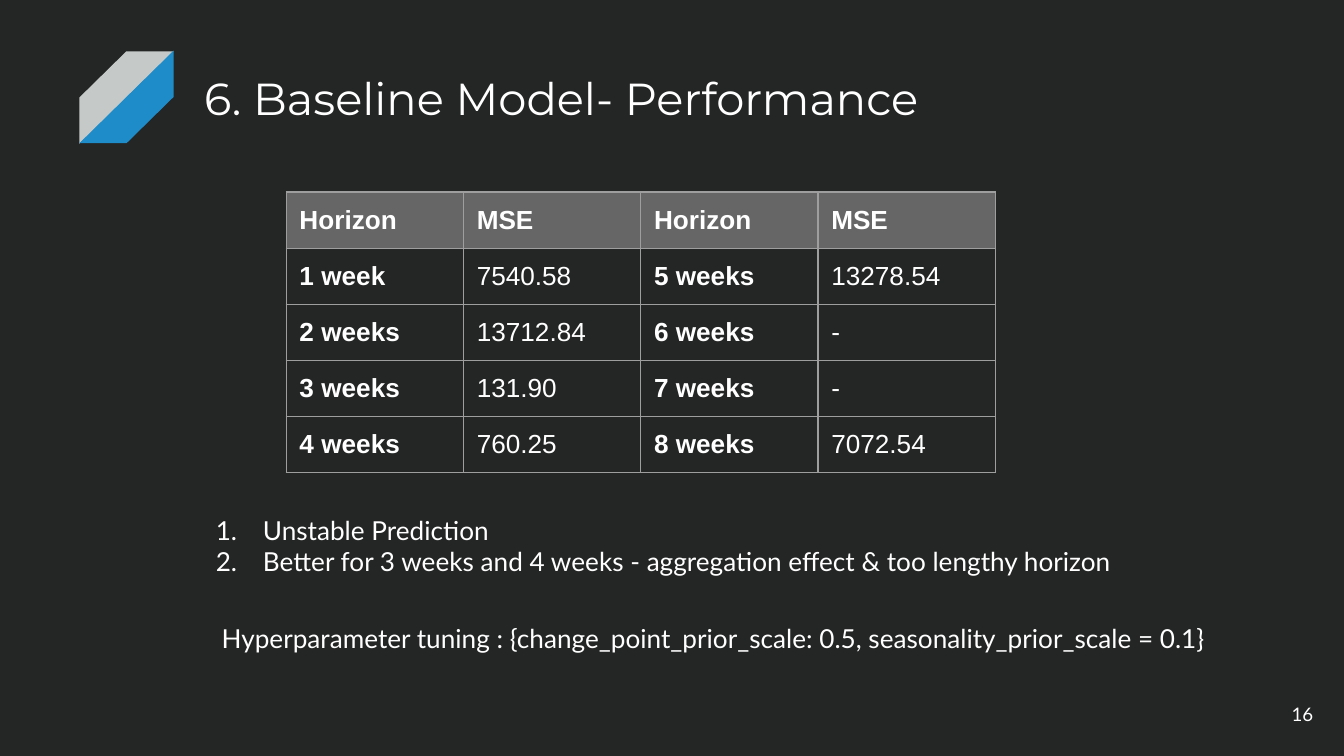
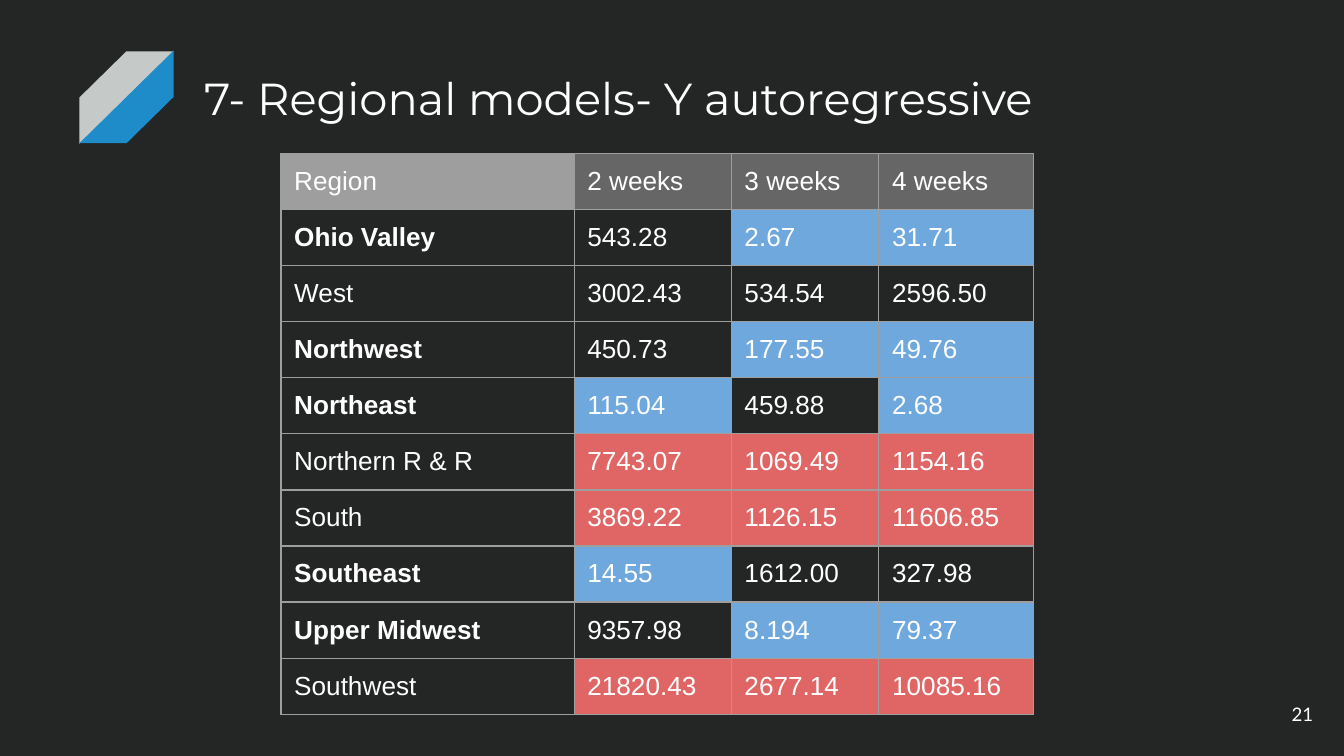
from lxml import etree
from pptx import Presentation
from pptx.dml.color import RGBColor
from pptx.enum.shapes import MSO_SHAPE
from pptx.enum.text import MSO_ANCHOR, MSO_AUTO_SIZE, PP_ALIGN
from pptx.oxml.ns import qn
from pptx.util import Cm, Pt

STRIPE = MSO_SHAPE.DIAGONAL_STRIPE
TOP, MIDDLE = MSO_ANCHOR.TOP, MSO_ANCHOR.MIDDLE
FIXED, GROW = MSO_AUTO_SIZE.NONE, MSO_AUTO_SIZE.SHAPE_TO_FIT_TEXT
LEFT, RIGHT = PP_ALIGN.LEFT, PP_ALIGN.RIGHT

BACKGROUND = RGBColor(0x24, 0x25, 0x25)
WHITE = RGBColor(0xFF, 0xFF, 0xFF)
STRIPE_GREY = RGBColor(0xC5, 0xCA, 0xC8)
STRIPE_BLUE = RGBColor(0x1F, 0x8C, 0xCA)
HEADER_GREY = RGBColor(0x66, 0x66, 0x66)
LIGHT_GREY = RGBColor(0x9E, 0x9E, 0x9E)
GOOD_BLUE = RGBColor(0x6F, 0xA8, 0xDC)
BAD_RED = RGBColor(0xE0, 0x66, 0x66)

TITLE_FONT, BODY_FONT, TABLE_FONT = "Montserrat", "Lato", "Arial"
INSET = Cm(0.25)
ROW_HEIGHT = Cm(1.06)
GOOD_LIMIT, BAD_LIMIT = 200, 1000

BASELINE_ROWS = [
    ["Horizon", "MSE", "Horizon", "MSE"],
    ["1 week", "7540.58", "5 weeks", "13278.54"],
    ["2 weeks", "13712.84", "6 weeks", "-"],
    ["3 weeks", "131.90", "7 weeks", "-"],
    ["4 weeks", "760.25", "8 weeks", "7072.54"],
]
REGION_ROWS = [
    ["Region", "2 weeks", "3 weeks", "4 weeks"],
    ["Ohio Valley", "543.28", "2.67", "31.71"],
    ["West", "3002.43", "534.54", "2596.50"],
    ["Northwest", "450.73", "177.55", "49.76"],
    ["Northeast", "115.04", "459.88", "2.68"],
    ["Northern R & R", "7743.07", "1069.49", "1154.16"],
    ["South", "3869.22", "1126.15", "11606.85"],
    ["Southeast", "14.55", "1612.00", "327.98"],
    ["Upper Midwest", "9357.98", "8.194", "79.37"],
    ["Southwest", "21820.43", "2677.14", "10085.16"],
]


def write_text(frame, lines, font=BODY_FONT, size=14, bold=False, color=WHITE,
               align=LEFT, numbered=False):
    for index, line in enumerate(lines):
        paragraph = frame.paragraphs[0] if index == 0 else frame.add_paragraph()
        paragraph.alignment = align
        if numbered:
            number_paragraph(paragraph, color)
        run = paragraph.add_run()
        run.text = line
        run.font.name = font
        run.font.size = Pt(size)
        run.font.bold = bold
        run.font.color.rgb = color


def number_paragraph(paragraph, color):
    properties = paragraph._p.get_or_add_pPr()
    properties.set("marL", str(Cm(1.27)))
    properties.set("indent", str(-Cm(0.89)))
    bullet_color = etree.SubElement(properties, qn("a:buClr"))
    etree.SubElement(bullet_color, qn("a:srgbClr"), val=str(color))
    etree.SubElement(properties, qn("a:buFont"), typeface=BODY_FONT)
    etree.SubElement(properties, qn("a:buAutoNum"), type="arabicPeriod")


def set_borders(cell):
    properties = cell._tc.get_or_add_tcPr()
    for position, side in enumerate(("a:lnL", "a:lnR", "a:lnT", "a:lnB")):
        line = etree.Element(qn(side), w=str(Pt(0.75)))
        fill = etree.SubElement(line, qn("a:solidFill"))
        etree.SubElement(fill, qn("a:srgbClr"), val=str(LIGHT_GREY))
        properties.insert(position, line)


def baseline_style(row, column):
    if row == 0:
        return HEADER_GREY, True
    return None, column % 2 == 0


def region_style(row, column):
    if row == 0:
        return (LIGHT_GREY if column == 0 else HEADER_GREY), False
    errors = [float(value) for value in REGION_ROWS[row][1:]]
    if column == 0:
        return None, min(errors) < GOOD_LIMIT
    if errors[column - 1] < GOOD_LIMIT:
        return GOOD_BLUE, False
    return (BAD_RED if min(errors) > BAD_LIMIT else None), False


class Deck:
    def __init__(self):
        self.presentation = Presentation()
        self.presentation.slide_width = Cm(25.4)
        self.presentation.slide_height = Cm(14.29)
        self.slide = None

    def add_slide(self, title, number):
        layout = self.presentation.slide_layouts[5]
        self.slide = self.presentation.slides.add_slide(layout)
        fill = self.slide.background.fill
        fill.solid()
        fill.fore_color.rgb = BACKGROUND
        self.add_emblem()
        self.set_title(title)
        self.add_text([number], 23.55, 12.95, 1.52, 1.09, anchor=MIDDLE,
                      auto_size=FIXED, size=10, align=RIGHT)

    def add_emblem(self):
        group = self.slide.shapes.add_group_shape()
        self.add_stripe(group, 1.5, 0.97, 1.78, 1.75, STRIPE_GREY)
        blue = self.add_stripe(group, 1.52, 0.94, 1.75, 1.78, STRIPE_BLUE)
        blue.rotation = 90
        blue.element.spPr.xfrm.set("flipH", "1")

    def add_stripe(self, group, left, top, width, height, color):
        shape = group.shapes.add_shape(STRIPE, Cm(left), Cm(top), Cm(width), Cm(height))
        shape.adjustments[0] = 0.5
        shape.shadow.inherit = False
        shape.fill.solid()
        shape.fill.fore_color.rgb = color
        shape.line.fill.background()
        return shape

    def set_title(self, text):
        title = self.slide.shapes.title
        title.left, title.top = Cm(3.61), Cm(1.09)
        title.width, title.height = Cm(19.56), Cm(2.54)
        self.format_frame(title.text_frame, TOP, FIXED)
        write_text(title.text_frame, [text], font=TITLE_FONT, size=24)

    def format_frame(self, frame, anchor, auto_size):
        frame.word_wrap = True
        frame.auto_size = auto_size
        frame.vertical_anchor = anchor
        frame.margin_left = frame.margin_right = INSET
        frame.margin_top = frame.margin_bottom = INSET

    def add_text(self, lines, left, top, width, height, anchor=TOP,
                 auto_size=GROW, **text_format):
        box = self.slide.shapes.add_textbox(Cm(left), Cm(top), Cm(width), Cm(height))
        self.format_frame(box.text_frame, anchor, auto_size)
        write_text(box.text_frame, lines, **text_format)

    def add_table(self, rows, left, top, widths, style):
        shape = self.slide.shapes.add_table(
            len(rows), len(widths), Cm(left), Cm(top),
            Cm(sum(widths)), ROW_HEIGHT * len(rows))
        table = shape.table
        table.first_row = table.horz_banding = False
        for column, width in zip(table.columns, widths):
            column.width = Cm(width)
        for row_index, row in enumerate(rows):
            table.rows[row_index].height = ROW_HEIGHT
            for column_index, text in enumerate(row):
                color, bold = style(row_index, column_index)
                self.fill_cell(table.cell(row_index, column_index), text, color, bold)

    def fill_cell(self, cell, text, color, bold):
        cell.margin_left = cell.margin_right = INSET
        cell.margin_top = cell.margin_bottom = INSET
        if color is None:
            cell.fill.background()
        else:
            cell.fill.solid()
            cell.fill.fore_color.rgb = color
        set_borders(cell)
        write_text(cell.text_frame, [text], font=TABLE_FONT, bold=bold)


def main():
    deck = Deck()

    deck.add_slide("6. Baseline Model- Performance", "16")
    deck.add_table(BASELINE_ROWS, 5.41, 3.63, [3.35] * 4, baseline_style)
    deck.add_text(
        ["Unstable Prediction",
         "Better for 3 weeks and 4 weeks - aggregation effect & too lengthy horizon"],
        3.45, 9.47, 18.49, 1.7, numbered=True)
    deck.add_text(
        ["Hyperparameter tuning : {change_point_prior_scale: 0.5, "
         "seasonality_prior_scale = 0.1}"],
        3.94, 11.51, 19.99, 1.12)

    deck.add_slide("7- Regional models- Y autoregressive", "21")
    deck.add_table(REGION_ROWS, 5.31, 2.9, [5.54, 2.97, 2.79, 2.92], region_style)

    deck.presentation.save("out.pptx")


if __name__ == "__main__":
    main()
